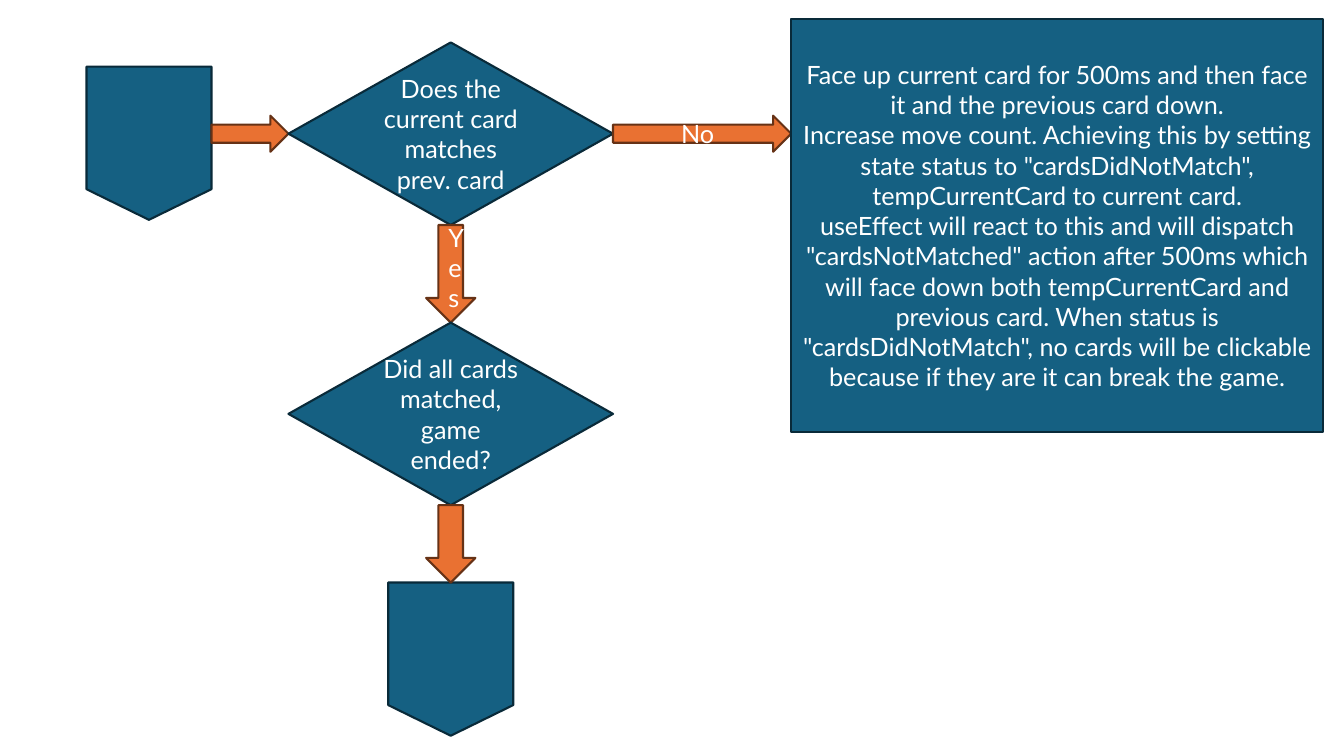
import pptx
import pptx.dml.color
import pptx.enum.shapes
import pptx.enum.text
import pptx.util

Cm = pptx.util.Cm
SHAPES = pptx.enum.shapes.MSO_SHAPE

BLUE, BLUE_EDGE = "156082", "092A39"
ORANGE, ORANGE_EDGE = "E97132", "663216"
WHITE = "FFFFFF"

DECISION_SIZE = (8.18, 4.6)
CONNECTOR_SIZE = (3.15, 3.86)
ARROW_ROW_HEIGHT = 0.91
ARROW_COLUMN_WIDTH = 1.24

MISMATCH_STEPS = [
    "Face up current card for 500ms and then face it and the previous card down.",
    'Increase move count. Achieving this by setting state status to "cardsDidNotMatch", '
    "tempCurrentCard to current card.",
    'useEffect will react to this and will dispatch "cardsNotMatched" action after 500ms '
    "which will face down both tempCurrentCard and previous card. When status is "
    '"cardsDidNotMatch", no cards will be clickable because if they are it can break the game.',
]


def color(hex_string):
    return pptx.dml.color.RGBColor.from_string(hex_string)


def write_text(shape, lines, size=18, font="Lato", fill=WHITE):
    frame = shape.text_frame
    frame.word_wrap = True
    frame.vertical_anchor = pptx.enum.text.MSO_ANCHOR.MIDDLE
    for index, line in enumerate(lines):
        para = frame.add_paragraph() if index else frame.paragraphs[0]
        para.alignment = pptx.enum.text.PP_ALIGN.CENTER
        span = para.add_run()
        span.text = line
        span.font.size = pptx.util.Pt(size)
        span.font.name = font
        span.font.color.rgb = color(fill)


def add_block(page, kind, box, lines=(), fill=BLUE, edge=BLUE_EDGE):
    """Draw one flowchart shape; box is left, top, width, height in cm."""
    shape = page.shapes.add_shape(kind, *(Cm(length) for length in box))
    shape.shadow.inherit = False
    shape.fill.solid()
    shape.fill.fore_color.rgb = color(fill)
    shape.line.color.rgb = color(edge)
    shape.line.width = pptx.util.Pt(1.5)
    if lines:
        write_text(shape, lines)


def centered(center, top, size):
    width, height = size
    return (center - width / 2, top, width, height)


def add_arrow_right(page, source, target, middle, lines=()):
    """Fill the gap between two boxes, centred on the height middle."""
    left = source[0] + source[2]
    box = (left, middle - ARROW_ROW_HEIGHT / 2, target[0] - left, ARROW_ROW_HEIGHT)
    add_block(page, SHAPES.RIGHT_ARROW, box, lines, ORANGE, ORANGE_EDGE)


def add_arrow_down(page, source, target, center, lines=()):
    """Fill the gap between two boxes, centred on the column."""
    top = source[1] + source[3]
    box = centered(center, top, (ARROW_COLUMN_WIDTH, target[1] - top))
    add_block(page, SHAPES.DOWN_ARROW, box, lines, ORANGE, ORANGE_EDGE)


def add_flowchart(page, column_center=11.36):
    entry = (2.18, 1.68, *CONNECTOR_SIZE)
    match = centered(column_center, 1.07, DECISION_SIZE)
    mismatch = (19.94, 0.48, 13.41, 10.41)
    ended = centered(column_center, 8.13, DECISION_SIZE)
    leave = centered(column_center, 14.68, CONNECTOR_SIZE)
    row_middle = match[1] + match[3] / 2

    add_block(page, SHAPES.FLOWCHART_OFFPAGE_CONNECTOR, entry)
    add_arrow_right(page, entry, match, row_middle)
    add_block(page, SHAPES.FLOWCHART_DECISION, match,
              ["Does the current card matches prev. card"])
    add_arrow_right(page, match, mismatch, row_middle, ["No"])
    add_block(page, SHAPES.FLOWCHART_PROCESS, mismatch, MISMATCH_STEPS)
    add_arrow_down(page, match, ended, column_center, ["Yes"])
    add_block(page, SHAPES.FLOWCHART_DECISION, ended,
              ["Did all cards matched, game ended?"])
    add_block(page, SHAPES.FLOWCHART_OFFPAGE_CONNECTOR, leave)
    add_arrow_down(page, ended, leave, column_center)


def main():
    deck = pptx.Presentation()
    deck.slide_width = Cm(33.87)
    deck.slide_height = Cm(19.05)
    page = deck.slides.add_slide(deck.slide_layouts.get_by_name("Blank"))
    add_flowchart(page)
    deck.save("out.pptx")


if __name__ == "__main__":
    main()
